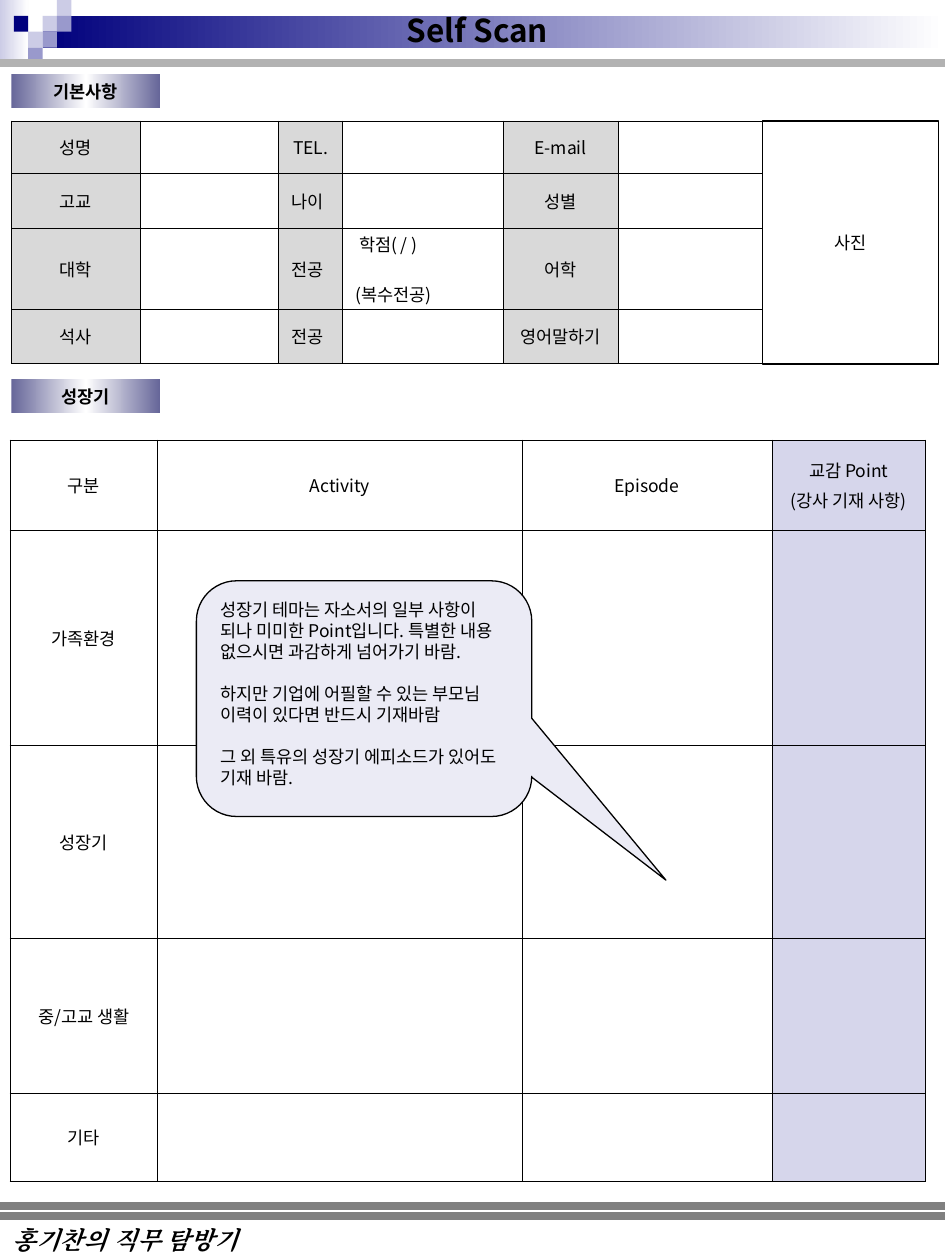
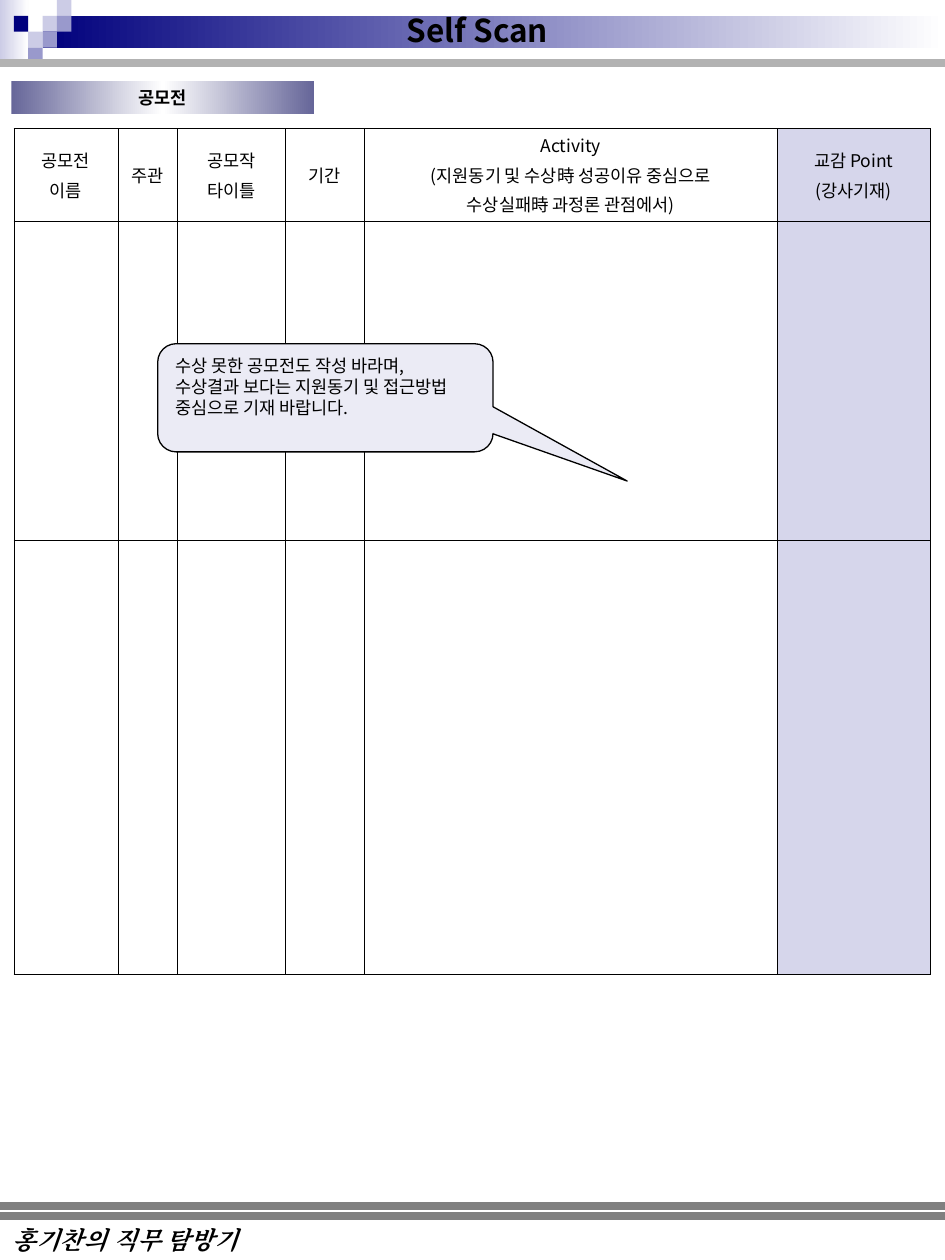
from lxml.etree import SubElement
from pptx import Presentation
from pptx.dml.color import RGBColor
from pptx.enum.shapes import MSO_CONNECTOR as Connector, MSO_SHAPE as Preset
from pptx.enum.text import MSO_ANCHOR as Anchor, MSO_AUTO_SIZE as AutoSize, PP_ALIGN as Align
from pptx.oxml.ns import qn
from pptx.util import Cm, Pt

BLACK = RGBColor(0x00, 0x00, 0x00)
WHITE = RGBColor(0xFF, 0xFF, 0xFF)
NAVY = RGBColor(0x00, 0x00, 0x7D)
MID_BLUE = RGBColor(0x99, 0x99, 0xCC)
PALE_BLUE = RGBColor(0xCC, 0xCC, 0xE6)
SLATE = RGBColor(0x66, 0x66, 0x99)
POINT_FILL = RGBColor(0xD6, 0xD6, 0xEB)
NOTE_FILL = RGBColor(0xEB, 0xEB, 0xF5)
LABEL_FILL = RGBColor(0xD9, 0xD9, 0xD9)
LIGHT_GRAY = RGBColor(0xB2, 0xB2, 0xB2)
DARK_GRAY = RGBColor(0x80, 0x80, 0x80)

SANS = "Noto Sans CJK KR"
SERIF = "Times New Roman"
PAGE_WIDTH, PAGE_HEIGHT = 19.05, 25.4
MARGIN_X, MARGIN_Y = 0.25, 0.13
SQUARE_WIDTH, SQUARE_HEIGHT = 0.29, 0.32

BODY = {"size": Pt(10), "name": SANS}
HEADING = {"size": Pt(10), "name": SANS, "bold": True}
TITLE = {"size": Pt(18), "name": SANS, "bold": True}
FOOTER = {"size": Pt(14), "name": SERIF, "bold": True, "italic": True}

SQUARES = [
    (2, 1, PALE_BLUE), (3, 0, PALE_BLUE), (3, 1, MID_BLUE), (1, 2, PALE_BLUE),
    (0, 1, NAVY), (2, 2, MID_BLUE), (1, 3, MID_BLUE),
]

PROFILE_ROWS = [
    ["성명", "", "TEL.", "", "E-mail", ""],
    ["고교", "", "나이", "", "성별", ""],
    ["대학", "", "전공", " 학점( / )\n\n(복수전공)", "어학", ""],
    ["석사", "", "전공", "", "영어말하기", ""],
]
GROWTH_ROWS = [
    ["구분", "Activity", "Episode", "교감 Point\n(강사 기재 사항)"],
    ["가족환경", "", "", ""],
    ["성장기", "", "", ""],
    ["중/고교 생활", "", "", ""],
    ["기타", "", "", ""],
]
CONTEST_ROWS = [
    ["공모전\n이름", "주관", "공모작\n타이틀", "기간",
     "Activity\n(지원동기 및 수상時 성공이유 중심으로\n수상실패時 과정론 관점에서)",
     "교감 Point\n(강사기재)"],
    [""] * 6,
    [""] * 6,
]
GROWTH_NOTE = """성장기 테마는 자소서의 일부 사항이
되나 미미한 Point입니다. 특별한 내용
없으시면 과감하게 넘어가기 바람.

하지만 기업에 어필할 수 있는 부모님
이력이 있다면 반드시 기재바람

그 외 특유의 성장기 에피소드가 있어도
기재 바람."""
CONTEST_NOTE = """수상 못한 공모전도 작성 바라며,
수상결과 보다는 지원동기 및 접근방법
중심으로 기재 바랍니다."""


def write_text(frame, text, font, gap=Pt(12), **layout):
    """Write one paragraph per line; an empty line becomes space before the next."""
    first, space = True, None
    for line in text.split("\n"):
        if not line:
            space = gap
            continue
        paragraph = frame.paragraphs[0] if first else frame.add_paragraph()
        for name, value in layout.items():
            setattr(paragraph, name, value)
        if space is not None:
            paragraph.space_before = space
        run = paragraph.add_run()
        run.text = line
        for name, value in font.items():
            setattr(run.font, name, value)
        run.font.color.rgb = BLACK
        SubElement(run.font._element, qn("a:ea"), typeface=font["name"])
        first, space = False, None


def set_frame(frame, wrap, anchor=Anchor.TOP):
    """Set the margins, wrapping and anchor of a text frame."""
    values = {
        "margin_left": Cm(MARGIN_X), "margin_right": Cm(MARGIN_X),
        "margin_top": Cm(MARGIN_Y), "margin_bottom": Cm(MARGIN_Y),
        "word_wrap": wrap, "vertical_anchor": anchor,
    }
    for name, value in values.items():
        setattr(frame, name, value)


def set_gradient(shape, colors):
    """Fill a shape from left to right with evenly spaced colours."""
    shape.fill.gradient()
    shape.fill.gradient_angle = 0
    stops = shape.element.spPr.find(qn("a:gradFill")).find(qn("a:gsLst"))
    for stop in list(stops):
        stops.remove(stop)
    for index, color in enumerate(colors):
        position = str(100000 * index // (len(colors) - 1))
        stop = SubElement(stops, qn("a:gs"), pos=position)
        SubElement(stop, qn("a:srgbClr"), val=str(color))


def add_box(slide, box, fill=None, line_width=None, preset=Preset.RECTANGLE):
    """Add a preset shape; a list of colours gives a gradient."""
    shape = slide.shapes.add_shape(preset, *map(Cm, box))
    shape.shadow.inherit = False
    if fill is None:
        shape.fill.background()
    elif isinstance(fill, list):
        set_gradient(shape, fill)
    else:
        shape.fill.solid()
        shape.fill.fore_color.rgb = fill
    if line_width is None:
        shape.line.fill.background()
    else:
        shape.line.color.rgb = BLACK
        shape.line.width = Pt(line_width)
    return shape


def add_rule(slide, top, color):
    """Add a thick rule across the page."""
    line = slide.shapes.add_connector(
        Connector.STRAIGHT, Cm(0), Cm(top), Cm(PAGE_WIDTH), Cm(top))
    line.line.color.rgb = color
    line.line.width = Pt(4.5)
    SubElement(line.element.spPr, qn("a:effectLst"))


def add_label(slide, box, text, font, wrap, **layout):
    """Add a text box that grows with its text."""
    frame = slide.shapes.add_textbox(*map(Cm, box)).text_frame
    set_frame(frame, wrap)
    frame.auto_size = AutoSize.SHAPE_TO_FIT_TEXT
    write_text(frame, text, font, **layout)


def add_heading(slide, top, width, text):
    """Add a section heading on a gradient bar."""
    bar = add_box(slide, (0.23, top, width, 0.68), [SLATE, WHITE, SLATE])
    set_frame(bar.text_frame, True)
    write_text(bar.text_frame, text, HEADING, alignment=Align.CENTER)


def add_note(slide, box, text):
    """Add a speech callout with guidance."""
    note = add_box(slide, box, NOTE_FILL, 0.75, Preset.ROUNDED_RECTANGULAR_CALLOUT)
    for index, value in enumerate((0.9, 0.77, 0.17)):
        note.adjustments[index] = value
    set_frame(note.text_frame, False)
    write_text(note.text_frame, text, BODY, alignment=Align.LEFT, line_spacing=Pt(12))


def add_photo_frame(slide):
    """Add the frame that holds the applicant's photo."""
    frame = add_box(slide, (15.37, 2.44, 3.55, 4.9), line_width=1)
    set_frame(frame.text_frame, False, Anchor.MIDDLE)
    write_text(frame.text_frame, "사진", BODY, alignment=Align.CENTER)


def format_cell(cell, fill):
    """Set the borders, fill and margins of a table cell."""
    properties = cell._tc.get_or_add_tcPr()
    for side in ("a:lnL", "a:lnR", "a:lnT", "a:lnB"):
        border = SubElement(properties, qn(side), w=str(Pt(0.45)))
        SubElement(SubElement(border, qn("a:solidFill")), qn("a:srgbClr"), val=str(BLACK))
    if fill is None:
        cell.fill.background()
    else:
        cell.fill.solid()
        cell.fill.fore_color.rgb = fill
    values = {
        "margin_left": Cm(MARGIN_X), "margin_right": Cm(MARGIN_X),
        "margin_top": 0, "margin_bottom": 0, "vertical_anchor": Anchor.MIDDLE,
    }
    for name, value in values.items():
        setattr(cell, name, value)


def add_grid(slide, left, top, widths, heights, rows, fills, left_cells=()):
    """Add a ruled table with fills by column and some left-aligned cells."""
    table = slide.shapes.add_table(
        len(heights), len(widths), Cm(left), Cm(top),
        Cm(sum(widths)), Cm(sum(heights))).table
    table.first_row = table.horz_banding = False
    for column, width in zip(table.columns, widths):
        column.width = Cm(width)
    for row, height in zip(table.rows, heights):
        row.height = Cm(height)
    for row_index, texts in enumerate(rows):
        for column_index, text in enumerate(texts):
            cell = table.cell(row_index, column_index)
            format_cell(cell, fills.get(column_index))
            if (row_index, column_index) in left_cells:
                layout = {"alignment": Align.LEFT}
            else:
                layout = {"alignment": Align.CENTER, "space_before": Pt(2.5)}
            write_text(cell.text_frame, text, BODY, gap=Pt(14), **layout)


def move_to_layout(slide, layout):
    """Make the shapes of a slide the shared background of its layout."""
    for placeholder in list(layout.placeholders):
        layout.shapes.element.remove(placeholder.element)
    for shape in list(slide.shapes):
        layout.shapes.element.append(shape.element)


def add_shared_frame(slide, layout):
    """Build the header band, rules and footer once on the layout."""
    add_box(slide, (0, 0, 0.58, 1.27), [PALE_BLUE, WHITE])
    add_box(slide, (0.86, 0.32, 18.19, 0.65), [NAVY, WHITE])
    for column, row, color in SQUARES:
        box = (0.28 + column * SQUARE_WIDTH, row * SQUARE_HEIGHT, SQUARE_WIDTH, SQUARE_HEIGHT)
        add_box(slide, box, color)
    for top, color in ((1.27, LIGHT_GRAY), (24.51, DARK_GRAY), (24.31, DARK_GRAY)):
        add_rule(slide, top, color)
    add_label(slide, (0, 24.56, 8.74, 0.86), "홍기찬의 직무 탐방기", FOOTER, True,
              space_before=Pt(8.8))
    move_to_layout(slide, layout)


def add_title(slide):
    """Add the page title over the header band."""
    add_label(slide, (7.95, 0.1, 3.4, 1.02), "Self Scan", TITLE, False)


def build_profile(slide):
    """Fill the page on personal details and upbringing."""
    add_title(slide)
    add_grid(slide, 0.23, 2.44, [2.6, 2.79, 1.29, 3.23, 2.32, 2.9],
             [1.06, 1.1, 1.63, 1.09], PROFILE_ROWS,
             dict.fromkeys((0, 2, 4), LABEL_FILL),
             {(1, 2), (2, 2), (3, 2), (2, 3)})
    add_heading(slide, 1.5, 3, "기본사항")
    add_photo_frame(slide)
    add_grid(slide, 0.2, 8.87, [2.98, 7.34, 5.04, 3.1],
             [1.82, 4.34, 3.89, 3.12, 1.77], GROWTH_ROWS, {3: POINT_FILL})
    add_heading(slide, 7.65, 3, "성장기")
    add_note(slide, (3.96, 11.71, 6.76, 4.75), GROWTH_NOTE)


def build_contests(slide):
    """Fill the page on contests."""
    add_heading(slide, 1.63, 6.1, "공모전")
    add_grid(slide, 0.28, 2.59, [2.1, 1.19, 2.18, 1.59, 8.33, 3.08],
             [1.87, 6.43, 8.75], CONTEST_ROWS, {5: POINT_FILL})
    add_title(slide)
    add_note(slide, (3.18, 6.93, 6.76, 2.18), CONTEST_NOTE)


def main():
    """Build and save the presentation."""
    presentation = Presentation()
    presentation.slide_width = Cm(PAGE_WIDTH)
    presentation.slide_height = Cm(PAGE_HEIGHT)
    layout = presentation.slide_layouts[6]
    profile = presentation.slides.add_slide(layout)
    add_shared_frame(profile, layout)
    build_profile(profile)
    build_contests(presentation.slides.add_slide(layout))
    presentation.save("out.pptx")


if __name__ == "__main__":
    main()
